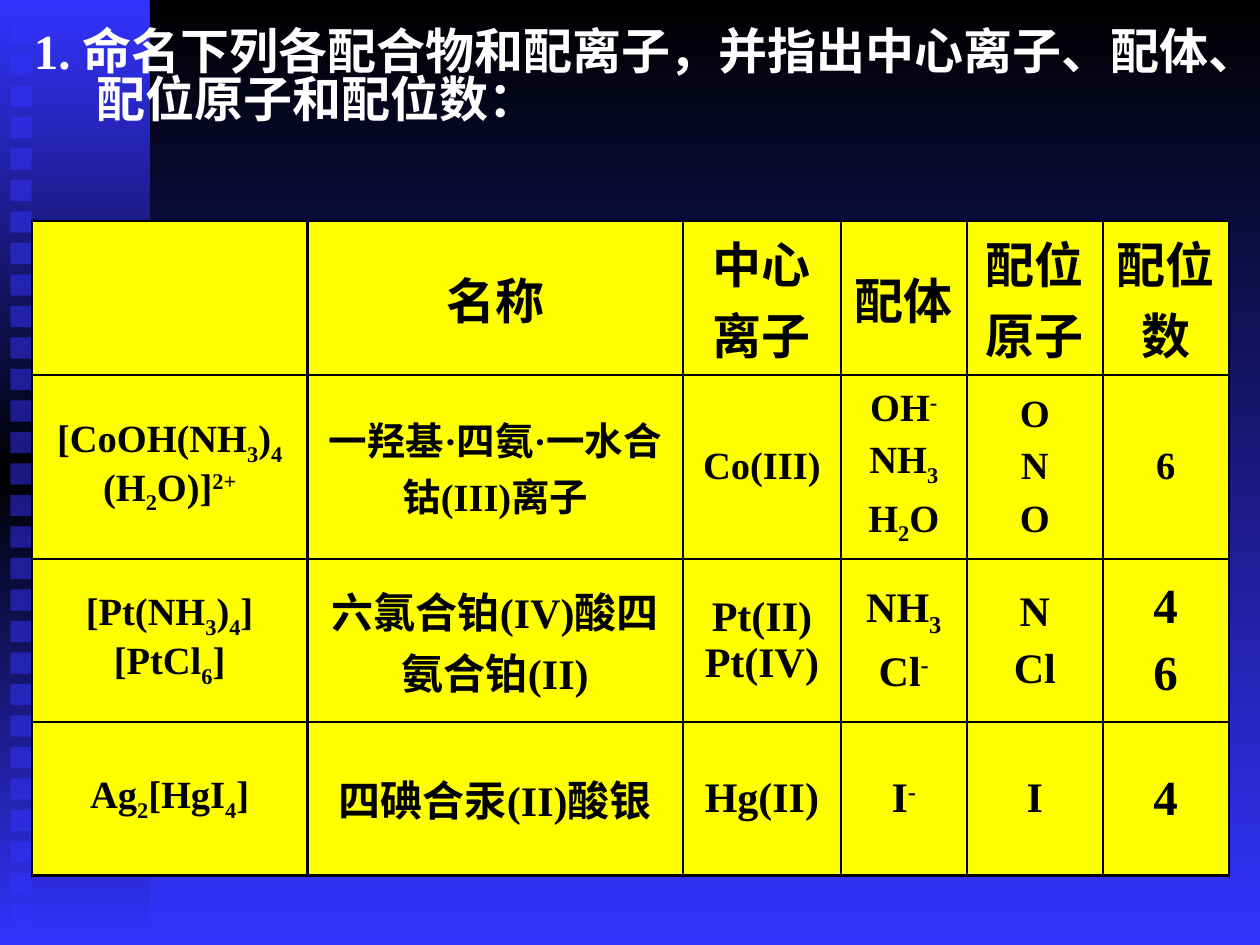
from copy import deepcopy
from dataclasses import dataclass

from lxml.etree import SubElement
from pptx import Presentation
from pptx.dml.color import RGBColor
from pptx.enum.shapes import MSO_SHAPE
from pptx.enum.text import MSO_ANCHOR, MSO_AUTO_SIZE, PP_ALIGN
from pptx.oxml.ns import qn
from pptx.util import Cm, Pt


@dataclass(frozen=True)
class Theme:
    face: str = "Times New Roman"
    blue: str = "3333FF"
    black: str = "000000"
    white: str = "FFFFFF"
    yellow: str = "FFFF00"
    large: int = 28
    mid: int = 24
    small: int = 22
    rule: float = 1.47


LOOK = Theme()
SUB, SUPER = "-25000", "30000"

TITLE = "1. 命名下列各配合物和配离子，并指出中心离子、配体、配位原子和配位数："
WIDTHS = (5.56, 7.57, 3.18, 2.54, 2.74, 2.54)
HEIGHTS = (2.84, 3.71, 3.28, 3.1)
L, M, S = LOOK.large, LOOK.mid, LOOK.small
# Each cell is its type size and its lines; text between bars is a sub- or superscript.
ROWS = (
    ((L, ""), (L, "名称"), (L, "中心离子"), (L, "配体"), (L, "配位原子"), (L, "配位数")),
    ((S, "[CoOH(NH|3|)|4| (H|2|O)]|2+|"), (S, "一羟基·四氨·一水合钴(III)离子"),
     (S, "Co(III)"), (S, "OH|-|", "NH|3|", "H|2|O"), (S, "O", "N", "O"), (S, "6")),
    ((S, "[Pt(NH|3|)|4|]\v[PtCl|6|]"), (M, "六氯合铂(IV)酸四氨合铂(II)"),
     (M, "Pt(II) Pt(IV)"), (M, "NH|3|", "Cl|-|"), (M, "N", "Cl"), (L, "4", "6")),
    ((S, "Ag|2|[HgI|4|]"), (M, "四碘合汞(II)酸银"),
     (M, "Hg(II)"), (M, "I|-|"), (M, "I"), (L, "4")),
)


def color(code):
    return RGBColor.from_string(code)


def style(para, size, code):
    font = para.font
    font.name, font.size, font.bold = LOOK.face, Pt(size), True
    font.color.rgb = color(code)


def fade(fill, node, codes):
    """Fill with evenly spaced colours from top to bottom."""
    fill.gradient()
    fill.gradient_angle = 270
    stops = next(node.iter(qn("a:gsLst")))
    while len(stops) < len(codes):
        stops.append(deepcopy(stops[0]))
    for i, (stop, code) in enumerate(zip(fill.gradient_stops, codes)):
        stop.color.rgb = color(code)
        stop.position = i / (len(codes) - 1)


def block(shapes, left, top, width, height):
    box = shapes.add_shape(MSO_SHAPE.RECTANGLE, left, top, width, height)
    box.shadow.inherit = False
    box.line.fill.background()
    return box


def side(slide, left, top, width, height):
    """Draw the band with its column of squares behind everything else."""
    group = slide.shapes.add_group_shape()
    band = block(group.shapes, left, top, width, height)
    fade(band.fill, band.element, (LOOK.blue, LOOK.black, LOOK.blue))
    for i in range(29):
        dot = block(group.shapes, left + Cm(0.21), top + Cm(0.45) + i * Cm(0.635),
                    Cm(0.43), Cm(0.43))
        dot.fill.solid()
        dot.fill.fore_color.rgb = color(LOOK.blue)
        tint = next(dot.element.spPr.iter(qn("a:srgbClr")))
        SubElement(tint, qn("a:alpha"), val="50000")
    slide.shapes.element.insert(2, group.element)


def head(slide, left, top, width, height):
    title = slide.shapes.title
    title.left, title.top, title.width, title.height = left, top, width, height
    frame = title.text_frame
    frame.text = TITLE
    frame.word_wrap = True
    frame.auto_size = MSO_AUTO_SIZE.NONE
    frame.vertical_anchor = MSO_ANCHOR.TOP
    para = frame.paragraphs[0]
    para.alignment = PP_ALIGN.LEFT
    para.line_spacing = 0.82
    props = para._p.get_or_add_pPr()
    props.set("marL", str(Cm(1.27)))
    props.set("indent", str(-Cm(1.27)))
    style(para, LOOK.large, LOOK.white)


def write(para, text):
    for i, part in enumerate(text.split("|")):
        if i % 2:
            run = para.add_run()
            run.text = part
            run.font._element.set("baseline", SUB if part.isdigit() else SUPER)
            continue
        for j, line in enumerate(part.split("\v")):
            if j:
                para.add_line_break()
            if line:
                para.add_run().text = line


def frame(cell):
    """Rule all four sides of a cell, then fill it."""
    props = cell._tc.get_or_add_tcPr()
    for edge in ("a:lnL", "a:lnR", "a:lnT", "a:lnB"):
        line = SubElement(props, qn(edge), w=str(Pt(LOOK.rule)))
        SubElement(SubElement(line, qn("a:solidFill")), qn("a:srgbClr"), val=LOOK.black)
    cell.fill.solid()
    cell.fill.fore_color.rgb = color(LOOK.yellow)


def grid(slide, left, top):
    table = slide.shapes.add_table(len(HEIGHTS), len(WIDTHS), left, top,
                                   Cm(sum(WIDTHS)), Cm(sum(HEIGHTS))).table
    table.first_row = table.horz_banding = False
    for col, width in zip(table.columns, WIDTHS):
        col.width = Cm(width)
    for row, height, items in zip(table.rows, HEIGHTS, ROWS):
        row.height = Cm(height)
        for cell, (size, *lines) in zip(row.cells, items):
            frame(cell)
            cell.vertical_anchor = MSO_ANCHOR.MIDDLE
            for i, text in enumerate(lines):
                body = cell.text_frame
                para = body.add_paragraph() if i else body.paragraphs[0]
                para.alignment = PP_ALIGN.CENTER
                para.space_before = Pt(size / 4 if i else 0)
                write(para, text)
                style(para, size, LOOK.black)


def main():
    deck = Presentation()
    deck.slide_width, deck.slide_height = Cm(25.4), Cm(19.05)
    slide = deck.slides.add_slide(deck.slide_layouts[5])
    fade(slide.background.fill, slide.element, (LOOK.black, LOOK.blue))
    side(slide, Cm(0), Cm(0), Cm(3.02), deck.slide_height)
    head(slide, Cm(0.43), Cm(0.5), Cm(24.97), Cm(2.64))
    grid(slide, Cm(0.64), Cm(4.45))
    deck.save("out.pptx")


if __name__ == "__main__":
    main()
